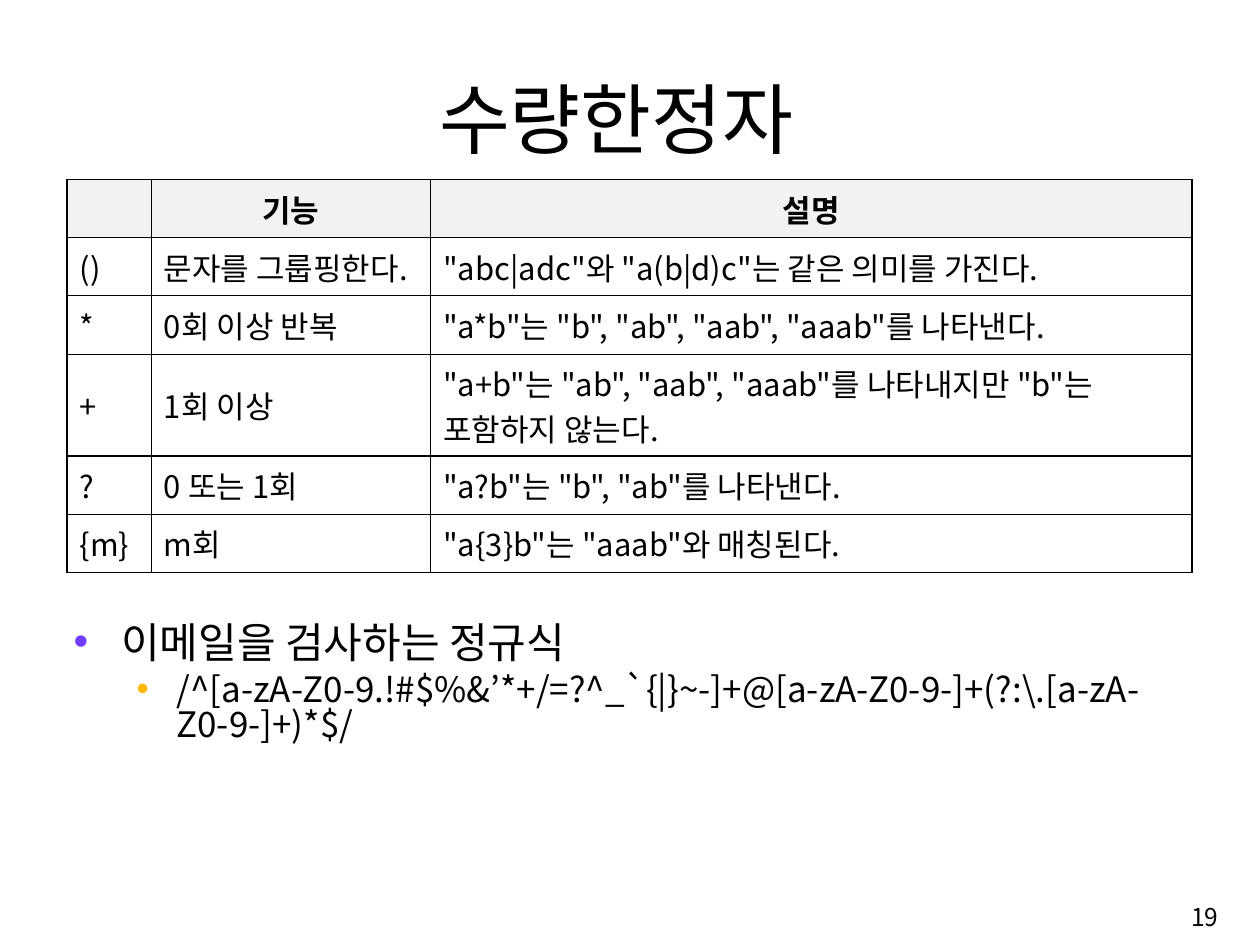
"""Build the slide on regular expression quantifiers."""
from lxml.etree import SubElement
from pptx import Presentation
from pptx.dml.color import RGBColor
from pptx.enum.text import MSO_ANCHOR, PP_ALIGN
from pptx.oxml.ns import qn
from pptx.util import Inches, Pt

FONT = "Noto Sans CJK KR"


def rgb(value):
    return RGBColor.from_string(value)


def write(p, text, size, bold=False, align=PP_ALIGN.LEFT):
    p.alignment = align
    r = p.add_run()
    r.text = text
    r.font.color.rgb = rgb("000000")
    for name, value in {"name": FONT, "size": Pt(size), "bold": bold}.items():
        setattr(r.font, name, value)
    SubElement(r.font._element, qn("a:ea"), typeface=FONT)


prs = Presentation()
prs.slide_width, prs.slide_height = Inches(12.99), Inches(9.74)
slide = prs.slides.add_slide(prs.slide_layouts[6])

boxes = {}
for name, box, anchor in [
    ("title", (1.05, 0.61, 10.61, 1.08), MSO_ANCHOR.BOTTOM),
    ("body", (0.66, 6.39, 11.67, 2.87), MSO_ANCHOR.TOP),
    ("number", (9.98, 9.15, 2.68, 0.6), MSO_ANCHOR.MIDDLE),
]:
    tf = slide.shapes.add_textbox(*map(Inches, box)).text_frame
    for key, value in {"word_wrap": True, "vertical_anchor": anchor}.items():
        setattr(tf, key, value)
    boxes[name] = tf

boxes["title"].margin_bottom = 0
write(boxes["title"].paragraphs[0], "수량한정자", 57.2, align=PP_ALIGN.CENTER)
write(boxes["number"].paragraphs[0], "19", 18.2, align=PP_ALIGN.RIGHT)

tf = boxes["body"]
for level, (text, size, left, hanging, color) in enumerate([
    ("이메일을 검사하는 정규식", 31.2, 0.49, 0.49, "703DFF"),
    (r"/^[a-zA-Z0-9.!#$%&’*+/=?^_`{|}~-]+@[a-zA-Z0-9-]+(?:\.[a-zA-Z0-9-]+)*$/",
     26, 1.06, 0.41, "FFB800"),
]):
    p = tf.add_paragraph() if level else tf.paragraphs[0]
    write(p, text, size)
    for key, value in {"level": level, "line_spacing": 0.83, "space_before": Pt(6 * level)}.items():
        setattr(p, key, value)
    pPr = p._p.get_or_add_pPr()
    pPr.set("marL", str(Inches(left)))
    pPr.set("indent", str(-Inches(hanging)))
    SubElement(SubElement(pPr, qn("a:buClr")), qn("a:srgbClr"), val=color)
    SubElement(pPr, qn("a:buFont"), typeface="Arial")
    SubElement(pPr, qn("a:buChar"), char="•")

rows = [
    ("", "기능", "설명"),
    ("()", "문자를 그룹핑한다.", '"abc|adc"와 "a(b|d)c"는 같은 의미를 가진다.'),
    ("*", "0회 이상 반복", '"a*b"는 "b", "ab", "aab", "aaab"를 나타낸다.'),
    ("+", "1회 이상", '"a+b"는 "ab", "aab", "aaab"를 나타내지만 "b"는 포함하지 않는다.'),
    ("?", "0 또는 1회", '"a?b"는 "b", "ab"를 나타낸다.'),
    ("{m}", "m회", '"a{3}b"는 "aaab"와 매칭된다.'),
]
widths = [0.87, 2.88, 7.85]
heights = [0.6, 0.6, 0.6, 1.05, 0.6, 0.6]
cell_format = {
    "vertical_anchor": MSO_ANCHOR.MIDDLE,
    "margin_left": Inches(0.13), "margin_right": Inches(0.13),
    "margin_top": Inches(0.06), "margin_bottom": Inches(0.06),
}
table = slide.shapes.add_table(
    len(rows), len(widths), Inches(0.69), Inches(1.85),
    Inches(sum(widths)), Inches(sum(heights))).table
for column, width in zip(table.columns, widths):
    column.width = Inches(width)
for i, (row, height) in enumerate(zip(rows, heights)):
    table.rows[i].height = Inches(height)
    header = i == 0
    for j, text in enumerate(row):
        cell = table.cell(i, j)
        for key, value in cell_format.items():
            setattr(cell, key, value)
        tcPr = cell._tc.get_or_add_tcPr()
        for side in ("a:lnL", "a:lnR", "a:lnT", "a:lnB"):
            ln = SubElement(tcPr, qn(side), w=str(Pt(1)))
            SubElement(SubElement(ln, qn("a:solidFill")), qn("a:srgbClr"), val="000000")
        cell.fill.solid()
        cell.fill.fore_color.rgb = rgb("F2F2F2" if header else "FFFFFF")
        if text:
            write(cell.text_frame.paragraphs[0], text, 23, header,
                  PP_ALIGN.CENTER if header else PP_ALIGN.LEFT)

prs.save("out.pptx")
